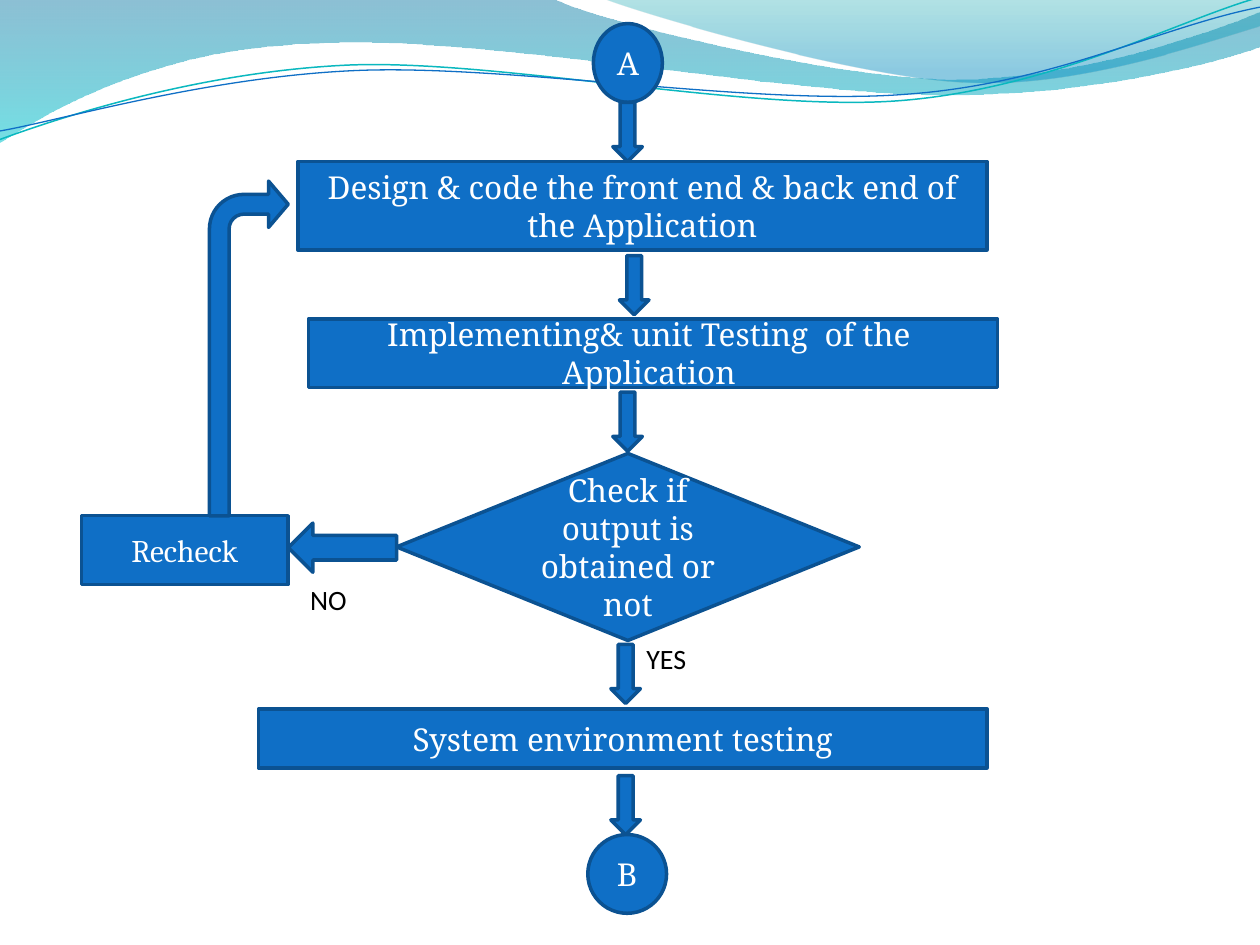
"""Build a development flowchart slide with a wave banner."""
from lxml import etree
from pptx import Presentation
from pptx.dml.color import RGBColor
from pptx.enum.shapes import MSO_SHAPE
from pptx.enum.text import MSO_ANCHOR, PP_ALIGN
from pptx.oxml.ns import qn
from pptx.util import Pt

RECTANGLE, ELLIPSE, DIAMOND = MSO_SHAPE.RECTANGLE, MSO_SHAPE.OVAL, MSO_SHAPE.DIAMOND
DOWN_ARROW, RIGHT_ARROW, BENT_ARROW = MSO_SHAPE.DOWN_ARROW, MSO_SHAPE.RIGHT_ARROW, MSO_SHAPE.BENT_ARROW
CENTER, MIDDLE = PP_ALIGN.CENTER, MSO_ANCHOR.MIDDLE
BLANK_LAYOUT = 6
COLORS = {
    "blue": "0F6FC6", "outline": "0B5292", "white": "FFFFFF", "black": "000000",
    "teal": "0AB8BF", "back_top": "0074A1", "back_bottom": "00C6CF",
    "front_top": "00A1A9", "front_bottom": "008BBF",
}
BODY_FONT, RECHECK_FONT, LABEL_FONT = "Noto Serif", "Cambria", "Calibri"

BACK_WAVE = [(-0.5, 0), (317, -0.5), (343, 12, 478, 45, 546, 45), (614, 45, 690, 19, 720, 6.5),
             (720.7, 26), (708, 32, 626, 55, 537, 54), (448, 54, 275, 20, 185, 24.2),
             (93, 26, 33, 60, -0.5, 81.3)]
FRONT_WAVE = [(345, -0.5), (366, 8, 491, 45, 554, 47), (618, 50, 692, 23, 720, 15), (720, 0)]
TEAL_LINE = [(0, 79.7), (34.6, 67, 113.8, 41, 199.4, 37.2), (284.4, 33.8, 427, 64.1, 513.4, 57.6),
             (599.8, 51.1, 675.4, 10.8, 718.6, -1.2)]
BLUE_LINE = [(-0.3, 74.9), (33.8, 69.1, 118.1, 43.9, 203.8, 40.3),
             (290.2, 36.7, 429.8, 60.5, 516.2, 54), (601.9, 48.2, 663.1, 15.1, 720, 4.1)]


def color(name):
    """Return the named colour."""
    return RGBColor.from_string(COLORS[name])


def add_outline(slide, left, top, segments, close):
    """Add a freeform of straight and cubic segments relative to left and top."""
    places = [(Pt(left + segment[index]), Pt(top + segment[index + 1]))
              for segment in segments for index in range(0, len(segment), 2)]
    builder = slide.shapes.build_freeform(*places[0])
    builder.add_line_segments(places[1:], close=close)
    shape = builder.convert_to_shape()
    shape.shadow.inherit = False
    lines = iter(list(shape._element.spPr.iter(qn("a:lnTo"))))
    for segment in segments[1:]:
        parts = [next(lines) for _ in range(len(segment) // 2)]
        if len(parts) == 3:
            curve = etree.Element(qn("a:cubicBezTo"))
            parts[0].addprevious(curve)
            for part in parts:
                curve.append(part[0])
                part.getparent().remove(part)
    return shape


def add_wave(slide, left, top, segments, stops):
    """Add a translucent wave shaded from top to bottom."""
    shape = add_outline(slide, left, top, segments, True)
    shape.line.fill.background()
    shape.fill.gradient()
    shape.fill.gradient_angle = 270
    for stop, (position, name, _) in zip(shape.fill.gradient_stops, stops):
        stop.position = position
        stop.color.rgb = color(name)
    for element, (_, _, opacity) in zip(shape._element.spPr.iter(qn("a:srgbClr")), stops):
        etree.SubElement(element, qn("a:alpha")).set("val", str(opacity * 1000))


def add_banner(slide, left, top):
    """Draw the waves and thin lines across the top."""
    add_wave(slide, left, top, BACK_WAVE, [(0, "back_top", 45), (1, "back_bottom", 55)])
    add_wave(slide, left, top, FRONT_WAVE, [(0, "front_top", 30), (0.8, "front_bottom", 45)])
    for segments, name, width in [(TEAL_LINE, "teal", 0.85), (BLUE_LINE, "blue", 0.75)]:
        shape = add_outline(slide, left, top, segments, False)
        shape.fill.background()
        shape.line.color.rgb = color(name)
        shape.line.width = Pt(width)


def set_text(shape, text, font_name, size, color_name):
    """Write one paragraph in a single font."""
    paragraph = shape.text_frame.paragraphs[0]
    paragraph.text = text
    paragraph.font.name = font_name
    paragraph.font.size = Pt(size)
    paragraph.font.color.rgb = color(color_name)
    return paragraph


def add_block(slide, kind, left, top, width, height, text="", font_name=BODY_FONT):
    """Add one blue flowchart shape with optional centred text."""
    shape = slide.shapes.add_shape(kind, Pt(left), Pt(top), Pt(width), Pt(height))
    shape.shadow.inherit = False
    shape.fill.solid()
    shape.fill.fore_color.rgb = color("blue")
    shape.line.color.rgb = color("outline")
    shape.line.width = Pt(2)
    if text:
        shape.text_frame.word_wrap = True
        shape.text_frame.vertical_anchor = MIDDLE
        set_text(shape, text, font_name, 18, "white").alignment = CENTER
    return shape


def add_label(slide, left, top, width, text, wrap):
    """Add a branch label."""
    label = slide.shapes.add_textbox(Pt(left), Pt(top), Pt(width), Pt(26.6))
    label.text_frame.word_wrap = wrap
    set_text(label, text, LABEL_FONT, 16, "black")


def add_flowchart(slide, left, top):
    """Draw steps, arrows and labels relative to left and top."""
    steps = [
        (ELLIPSE, 292.5, 0, 39.4, 45, "A"),
        (RECTANGLE, 123.6, 78.8, 393.8, 50.6, "Design & code the front end & back end of the Application"),
        (RECTANGLE, 129.7, 168.7, 393.8, 39.4, "Implementing& unit Testing  of the  Application "),
        (ELLIPSE, 289.3, 463.4, 45, 45, "B"),
        (DIAMOND, 180, 245.6, 264.4, 106.9, "Check if output is obtained or not"),
        (RECTANGLE, 0, 281.2, 118.1, 39.4, "Recheck", RECHECK_FONT),
        (RECTANGLE, 101.1, 391.6, 416.3, 33.8, "System environment testing"),
    ]
    for kind, x, y, *details in steps:
        add_block(slide, kind, left + x, top + y, *details)
    for x, y in [(303.6, 45), (307.4, 132.6), (303.6, 210.6), (302.5, 354.7), (302.5, 429.7)]:
        add_block(slide, DOWN_ARROW, left + x, top + y, 16.9, 33.8)
    add_block(slide, RIGHT_ARROW, left + 118.1, top + 285.4, 61.9, 28.1).rotation = 180
    loop = add_block(slide, BENT_ARROW, left + 73.1, top + 90, 45, 191.3)
    for index, value in enumerate((0.25, 0.294, 0.25, 0.438)):
        loop.adjustments[index] = value
    add_label(slide, left + 315.7, top + 349.6, 41.8, "YES", False)
    add_label(slide, left + 123.6, top + 315.8, 69.8, "NO", True)


def main():
    """Create and save the presentation."""
    presentation = Presentation()
    presentation.slide_width, presentation.slide_height = Pt(720), Pt(540)
    slide = presentation.slides.add_slide(presentation.slide_layouts[BLANK_LAYOUT])
    add_banner(slide, 0, 0)
    add_flowchart(slide, 46.6, 13.5)
    presentation.save("out.pptx")


main()
